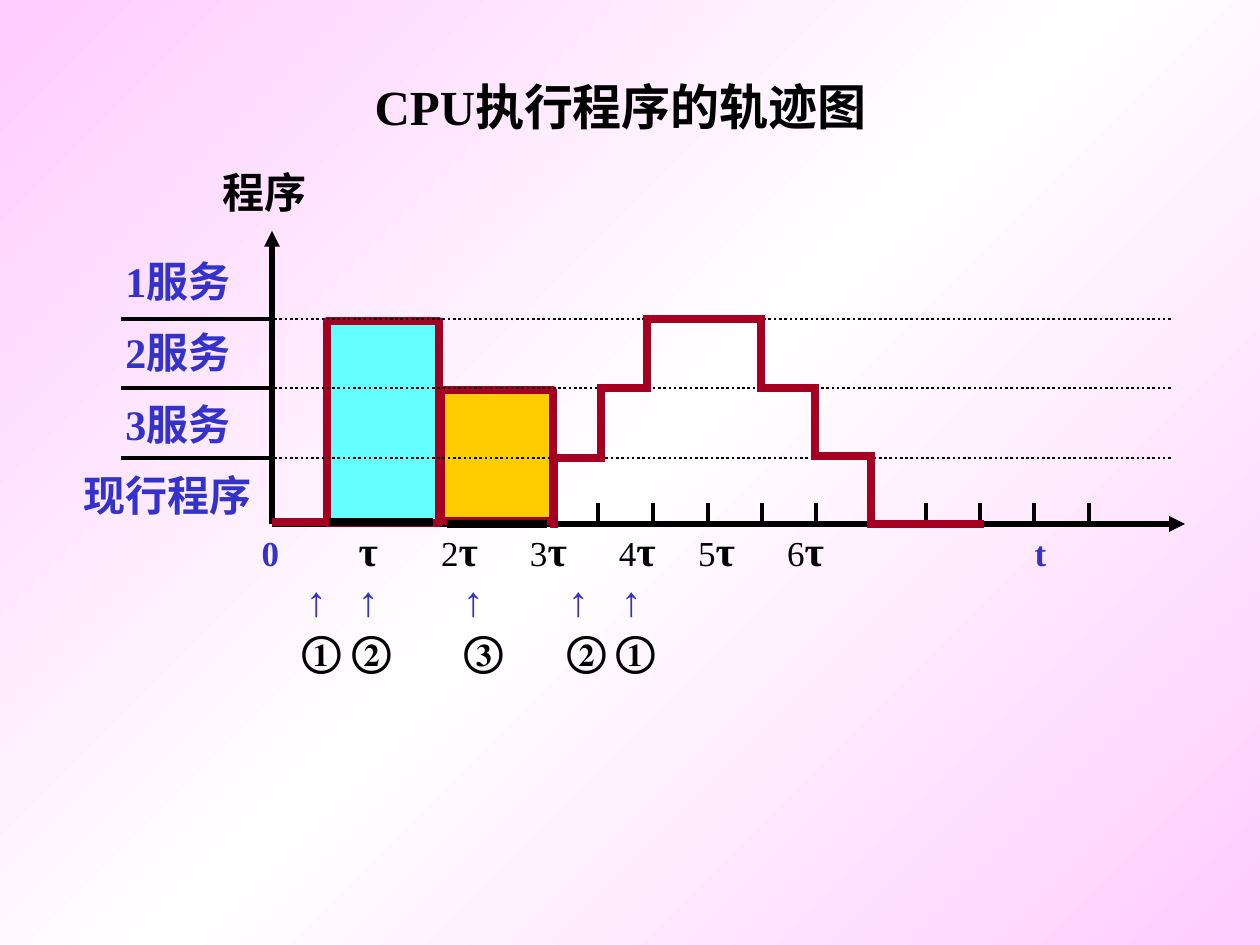
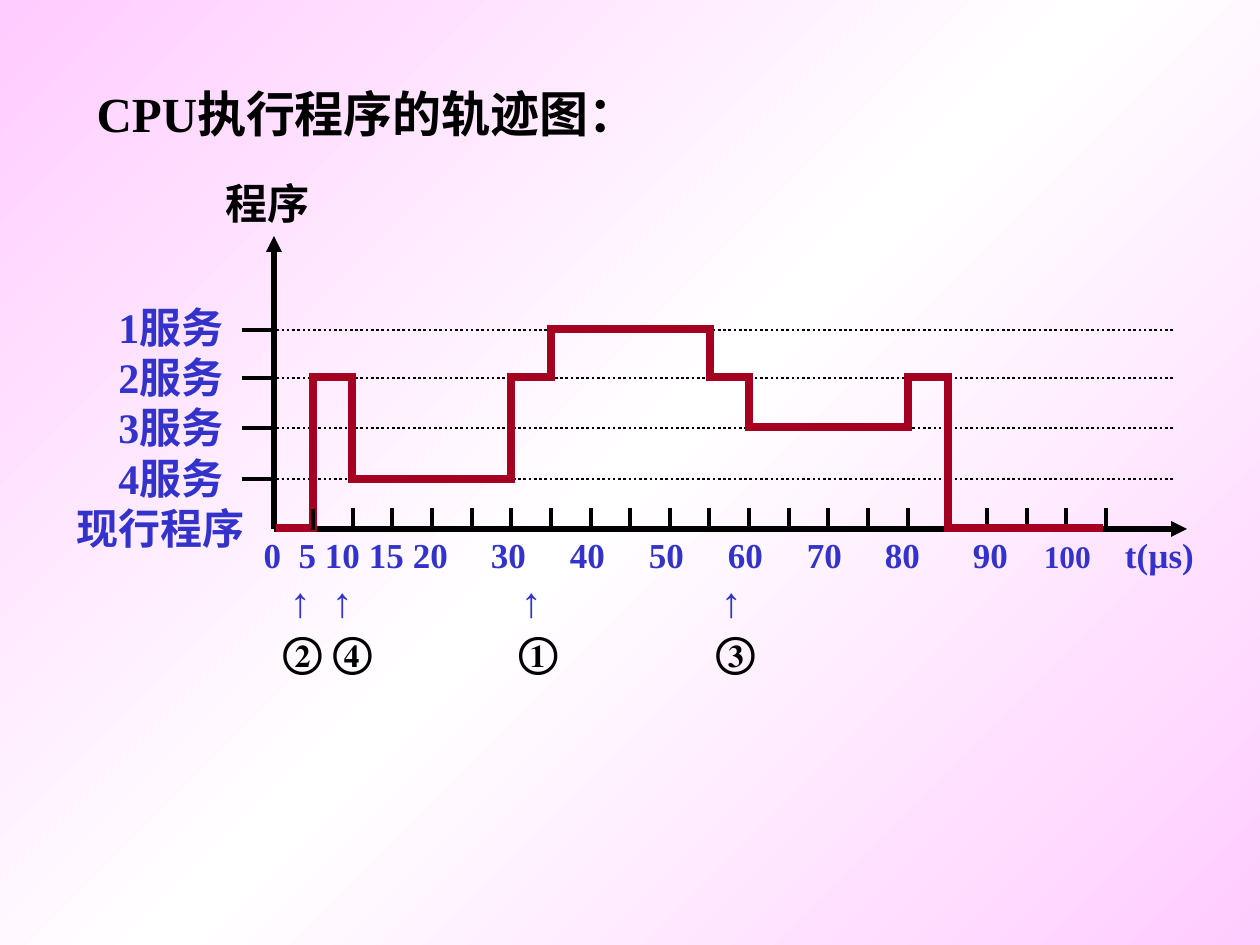
from dataclasses import dataclass
from itertools import pairwise
from typing import NamedTuple

from pptx import Presentation
from pptx.dml.color import RGBColor
from pptx.enum.dml import MSO_LINE
from pptx.enum.shapes import MSO_CONNECTOR, MSO_SHAPE
from pptx.enum.text import MSO_ANCHOR, PP_ALIGN
from pptx.oxml import parse_xml
from pptx.oxml.ns import nsdecls, qn
from pptx.oxml.xmlchemy import OxmlElement
from pptx.util import Pt

EMU_PER_PX = 914400 / 126
INSET_X = 13
TICK_HEIGHT = 21

BLACK = RGBColor(0x00, 0x00, 0x00)
BLUE = RGBColor(0x33, 0x33, 0xCC)
RED = RGBColor(0xA5, 0x00, 0x21)
CYAN = RGBColor(0x66, 0xFF, 0xFF)
AMBER = RGBColor(0xFF, 0xCC, 0x00)
PINK = RGBColor(0xFF, 0xCC, 0xFF)
WHITE = RGBColor(0xFF, 0xFF, 0xFF)
SERIF = "Times New Roman"
SANS = "Arial"

Point = tuple[int, int]
Box = tuple[int, int, int, int]


class Span(NamedTuple):
    text: str
    size: int = 20
    color: RGBColor = BLUE
    bold: bool = True
    font: str = SERIF


class Mark(NamedTuple):
    """One entry below the time axis, centred on x."""
    x: int
    spans: list[Span]


class Bar(NamedTuple):
    box: Box
    fill: RGBColor


class Stroke(NamedTuple):
    start: Point
    end: Point
    width: float


@dataclass
class TraceChart:
    title: str
    title_box: Box
    origin: Point
    axis_top: int
    axis_right: int
    heading_box: Box
    services: list[str]
    services_box: Box
    service_gap: int
    levels: list[int]
    level_left: int
    ticks: tuple[int, int, int]  # first x, last x, count
    time_box: Box
    time_rows: list[list[Mark]]
    traces: list[list[Point]]
    bars: list[Bar]
    front_strokes: list[Stroke]


def px(length: float) -> int:
    return round(length * EMU_PER_PX)


def place(box: Box) -> list[int]:
    return [px(length) for length in box]


def draw_line(slide, start: Point, end: Point, width: float,
              color: RGBColor = BLACK, dotted: bool = False,
              arrow: bool = False, square: bool = False) -> None:
    connector = slide.shapes.add_connector(
        MSO_CONNECTOR.STRAIGHT, *place(start + end))
    connector.line.width = Pt(width)
    connector.line.color.rgb = color
    if dotted:
        connector.line.dash_style = MSO_LINE.ROUND_DOT
    properties = connector.element.spPr
    outline = properties.find(qn("a:ln"))
    if square:
        outline.set("cap", "sq")
    if arrow:
        head = OxmlElement("a:tailEnd")
        head.set("type", "triangle")
        outline.append(head)
    properties.append(OxmlElement("a:effectLst"))


def format_run(run, span: Span) -> None:
    run.font.name = span.font
    run.font.size = Pt(span.size)
    run.font.bold = span.bold
    run.font.color.rgb = span.color


def add_text_frame(slide, box: Box):
    frame = slide.shapes.add_textbox(*place(box)).text_frame
    frame.word_wrap = True
    return frame


def draw_title(slide, text: str, box: Box) -> None:
    title = slide.shapes.title
    title.left, title.top, title.width, title.height = place(box)
    frame = title.text_frame
    frame.text = text
    frame.vertical_anchor = MSO_ANCHOR.MIDDLE
    frame.paragraphs[0].alignment = PP_ALIGN.LEFT
    format_run(frame.paragraphs[0].runs[0], Span(text, 28, BLACK))


def draw_services(slide, chart: TraceChart) -> None:
    frame = add_text_frame(slide, chart.services_box)
    frame.text = "\n".join(chart.services)
    for row, paragraph in enumerate(frame.paragraphs):
        if row:
            paragraph.space_before = Pt(chart.service_gap)
        if paragraph.text.endswith("服务"):
            paragraph._p.get_or_add_pPr().set("marL", str(px(42)))
        format_run(paragraph.runs[0], Span(paragraph.text, 24))


def draw_time_rows(slide, chart: TraceChart) -> None:
    """Write the rows below the axis, each mark on a centred tab stop."""
    frame = add_text_frame(slide, chart.time_box)
    text_left = chart.time_box[0] + INSET_X
    for row, marks in enumerate(chart.time_rows):
        paragraph = frame.add_paragraph() if row else frame.paragraphs[0]
        stops = OxmlElement("a:tabLst")
        paragraph._p.get_or_add_pPr().append(stops)
        for mark in marks:
            stop = OxmlElement("a:tab")
            stop.set("pos", str(px(mark.x - text_left)))
            stop.set("algn", "ctr")
            stops.append(stop)
            for position, span in enumerate(mark.spans):
                run = paragraph.add_run()
                run.text = span.text if position else "\t" + span.text
                format_run(run, span)


def draw_bar(slide, bar: Bar) -> None:
    shape = slide.shapes.add_shape(MSO_SHAPE.RECTANGLE, *place(bar.box))
    shape.shadow.inherit = False
    shape.fill.solid()
    shape.fill.fore_color.rgb = bar.fill
    shape.line.color.rgb = RED
    shape.line.width = Pt(4.5)


def draw_chart(presentation, chart: TraceChart) -> None:
    slide = presentation.slides.add_slide(presentation.slide_layouts[5])
    draw_title(slide, chart.title, chart.title_box)
    x0, y0 = chart.origin
    draw_line(slide, chart.origin, (x0, chart.axis_top), 3, arrow=True)
    draw_line(slide, chart.origin, (chart.axis_right, y0), 3, arrow=True)

    heading = add_text_frame(slide, chart.heading_box)
    heading.text = "程序"
    format_run(heading.paragraphs[0].runs[0], Span("程序", 24, BLACK))
    draw_services(slide, chart)
    draw_time_rows(slide, chart)

    first, last, count = chart.ticks
    for index in range(count):
        x = first + round(index * (last - first) / (count - 1))
        draw_line(slide, (x, y0 - TICK_HEIGHT), (x, y0), 2.25)
    for bar in chart.bars:
        draw_bar(slide, bar)
    for y in chart.levels:
        draw_line(slide, (chart.level_left, y), (x0, y), 2.25)
        draw_line(slide, (x0 - 3, y), (x0 + 899, y), 1.5, dotted=True)
    for trace in chart.traces:
        for start, end in pairwise(trace):
            draw_line(slide, start, end, 4.5, RED, square=True)
    for stroke in chart.front_strokes:
        draw_line(slide, *stroke)


def paint_background(master) -> None:
    fill = master.background.fill
    fill.gradient()
    fill.gradient_angle = 135
    stops = master.element.find(".//" + qn("a:gsLst"))
    for stop in list(stops):
        stops.remove(stop)
    for percent, color in ((0, PINK), (50, WHITE), (100, PINK)):
        stops.append(parse_xml(
            f'<a:gs {nsdecls("a")} pos="{percent * 1000}">'
            f'<a:srgbClr val="{color}"/></a:gs>'))


def tau(count: str) -> list[Span]:
    symbol = Span("τ", 24, BLACK)
    return [Span(count, 20, BLACK, bold=False), symbol] if count else [symbol]


def times(labels: dict[str, int]) -> list[Mark]:
    return [Mark(x, [Span(text, 18 if text == "100" else 20)])
            for text, x in labels.items()]


def arrows(*centres: int) -> list[Mark]:
    return [Mark(x, [Span("↑", 24, font=SANS)]) for x in centres]


def requests(numbers: str, *centres: int) -> list[Mark]:
    return [Mark(x, [Span(number, 24, BLACK)])
            for number, x in zip(numbers, centres)]


THREE_LEVELS = TraceChart(
    title="CPU执行程序的轨迹图",
    title_box=(362, 56, 675, 99),
    origin=(272, 524), axis_top=231, axis_right=1185,
    heading_box=(210, 160, 126, 63),
    services=["1服务", "2服务", "3服务", "现行程序"],
    services_box=(71, 249, 227, 277), service_gap=12,
    levels=[319, 388, 458], level_left=121,
    ticks=(326, 1089, 15),
    time_box=(101, 518, 1155, 164),
    time_rows=[
        [*times({"0": 271}),
         *(Mark(x, tau(count)) for count, x in (
             ("", 369), ("2", 460), ("3", 549),
             ("4", 638), ("5", 717), ("6", 806))),
         *times({"t": 1041})],
        arrows(317, 369, 474, 579, 632),
        requests("①②③②①", 322, 372, 484, 587, 636),
    ],
    traces=[
        [(276, 522), (326, 522)],
        [(554, 524), (554, 458), (601, 458), (601, 388), (647, 388),
         (647, 319), (761, 319), (761, 388), (815, 388), (815, 456),
         (871, 456), (871, 524), (980, 524)],
    ],
    bars=[Bar((327, 321, 112, 202), CYAN), Bar((441, 390, 112, 131), AMBER)],
    front_strokes=[Stroke((329, 522), (433, 522), 4.5),
                   Stroke((447, 524), (547, 524), 4.5)],
)

FOUR_LEVELS = TraceChart(
    title="CPU执行程序的轨迹图：",
    title_box=(84, 62, 1013, 102),
    origin=(274, 529), axis_top=236, axis_right=1187,
    heading_box=(213, 171, 126, 63),
    services=["1服务", "2服务", "3服务", "4服务", "现行程序"],
    services_box=(64, 295, 227, 265), service_gap=0,
    levels=[330, 378, 428, 479], level_left=242,
    ticks=(313, 1106, 21),
    time_box=(102, 527, 1155, 156),
    time_rows=[
        times({"0": 273, "5": 308, "10": 343, "15": 387, "20": 431,
               "30": 509, "40": 588, "50": 667, "60": 746, "70": 825,
               "80": 903, "90": 991, "100": 1068, "t(µs)": 1160}),
        arrows(301, 343, 532, 732),
        requests("②④①③", 303, 353, 539, 736),
    ],
    traces=[
        [(280, 528), (313, 528), (313, 377), (352, 377), (352, 479),
         (511, 479), (511, 377), (551, 377), (551, 329), (710, 329),
         (710, 377), (749, 377), (749, 427), (908, 427), (908, 377),
         (948, 377), (948, 528), (1099, 528)],
    ],
    bars=[],
    front_strokes=[Stroke((313, 509), (313, 530), 2.25)],
)


def main() -> None:
    presentation = Presentation()
    presentation.slide_width, presentation.slide_height = px(1260), px(945)
    paint_background(presentation.slide_master)
    for chart in (THREE_LEVELS, FOUR_LEVELS):
        draw_chart(presentation, chart)
    presentation.save("out.pptx")


if __name__ == "__main__":
    main()
